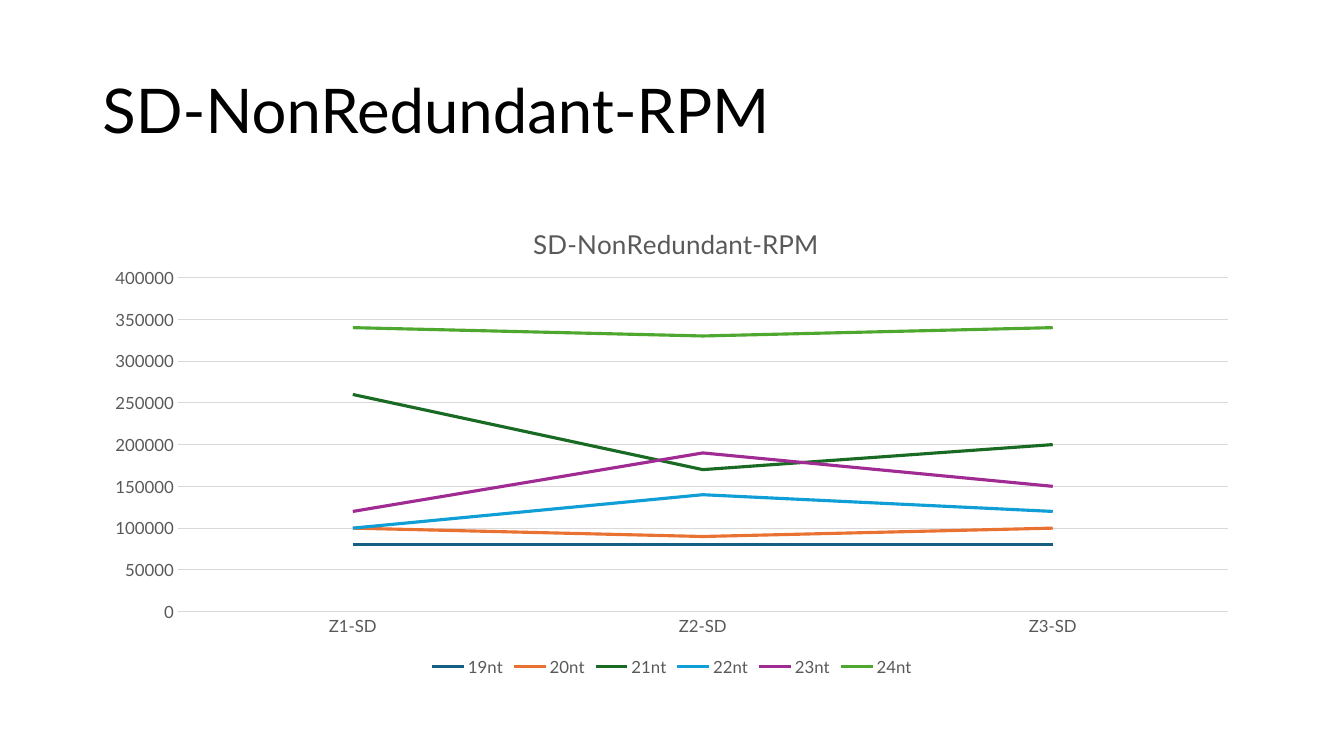
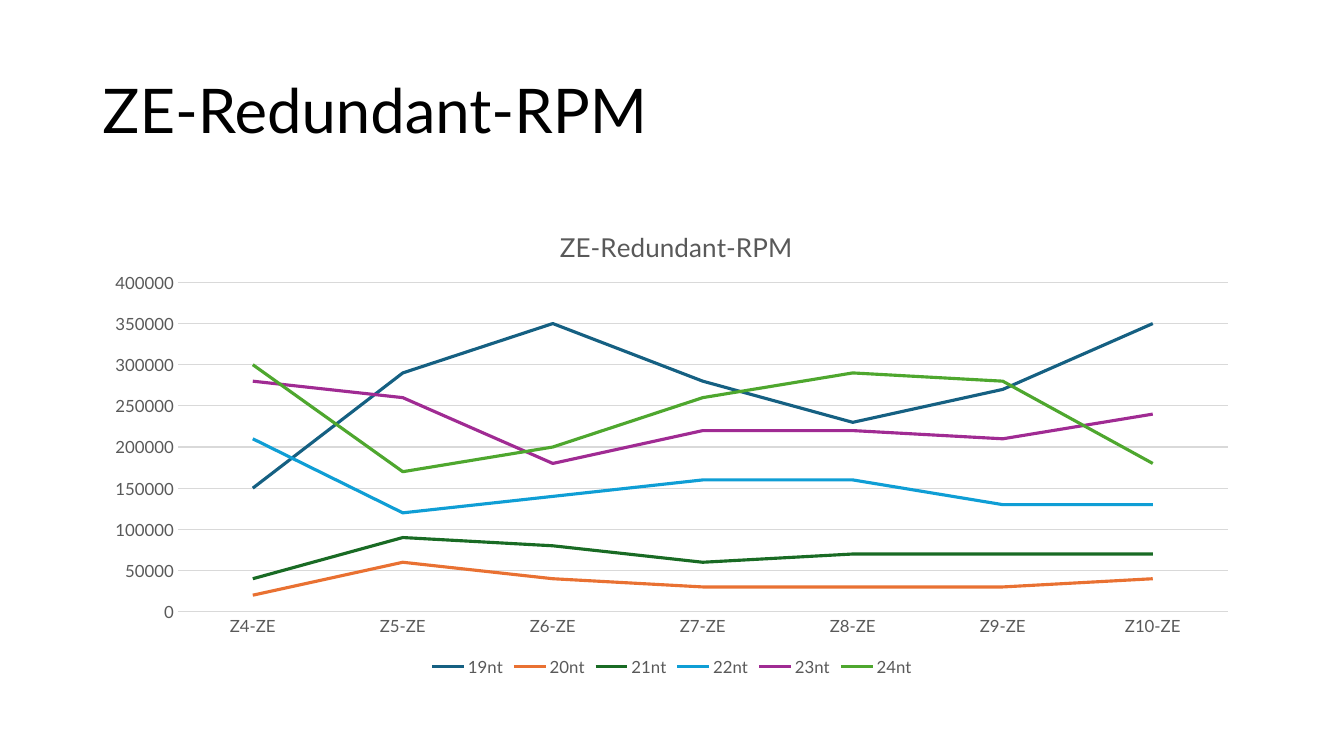
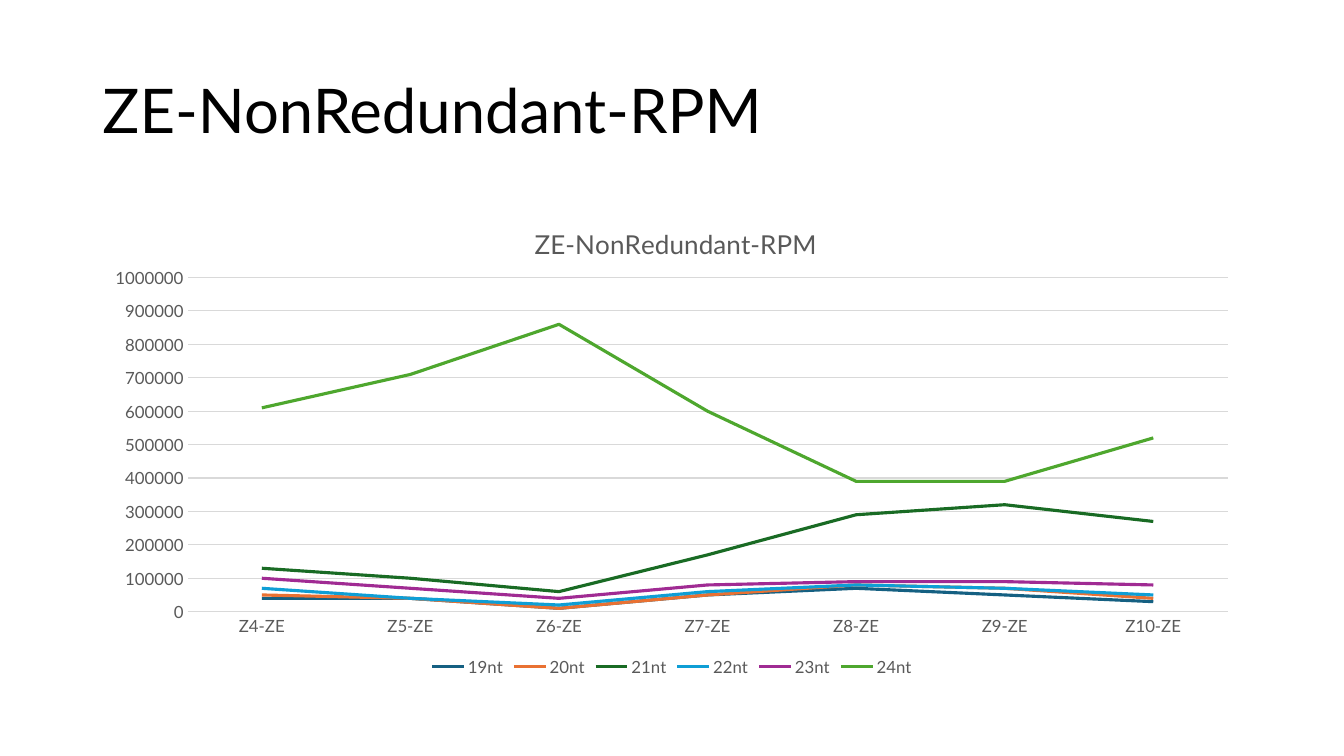
import dataclasses

import pptx
import pptx.chart.data
import pptx.dml.color
import pptx.enum.chart
import pptx.enum.text
import pptx.oxml
import pptx.oxml.ns
import pptx.util

Pt = pptx.util.Pt
FONT = "Lato"
BLACK, GREY, RULE = "000000", "595959", "D9D9D9"
SIZE_COLORS = {
    "19nt": "156082",
    "20nt": "E97132",
    "21nt": "196B24",
    "22nt": "0F9ED5",
    "23nt": "A02B93",
    "24nt": "4EA72E",
}
HEADING_BOX = (66, 28.75, 828, 104.38)
CHART_BOX = (66, 143.75, 828, 342.62)
PLOT_RIGHT, PLOT_BOTTOM = 811, 293.25
SD_SAMPLES = [f"Z{n}-SD" for n in range(1, 4)]
ZE_SAMPLES = [f"Z{n}-ZE" for n in range(4, 11)]


@dataclasses.dataclass
class Profile:
    heading: str
    samples: list
    thousands: list
    axis_max: int
    axis_step: int
    caption_at: tuple
    plot_at: tuple


PROFILES = [
    Profile(
        "SD-NonRedundant-RPM", SD_SAMPLES,
        [[80, 80, 80], [100, 90, 100], [260, 170, 200],
         [100, 140, 120], [120, 190, 150], [340, 330, 340]],
        400000, 50000, (311.5, 14), (61, 54.5)),
    Profile(
        "ZE-Redundant-RPM", ZE_SAMPLES,
        [[150, 290, 350, 280, 230, 270, 350],
         [20, 60, 40, 30, 30, 30, 40],
         [40, 90, 80, 60, 70, 70, 70],
         [210, 120, 140, 160, 160, 130, 130],
         [280, 260, 180, 220, 220, 210, 240],
         [300, 170, 200, 260, 290, 280, 180]],
        400000, 50000, (330.5, 16), (61, 58)),
    Profile(
        "ZE-NonRedundant-RPM", ZE_SAMPLES,
        [[40, 40, 10, 50, 70, 50, 30],
         [50, 40, 10, 50, 80, 70, 40],
         [130, 100, 60, 170, 290, 320, 270],
         [70, 40, 20, 60, 80, 70, 50],
         [100, 70, 40, 80, 90, 90, 80],
         [610, 710, 860, 600, 390, 390, 520]],
        1000000, 100000, (312.5, 14), (68, 54.5)),
]


def color(hex_code):
    return pptx.dml.color.RGBColor.from_string(hex_code)


def style_font(font, size, hex_code):
    font.name = FONT
    font.size = Pt(size)
    font.bold = False
    font.color.rgb = color(hex_code)


def style_line(line, width, hex_code):
    line.width = Pt(width)
    line.color.rgb = color(hex_code)


def set_layout(parent, index, fractions, inner=False):
    for old in parent.findall(pptx.oxml.ns.qn("c:layout")):
        parent.remove(old)
    target = '<c:layoutTarget val="inner"/>' if inner else ""
    modes = "".join(f'<c:{axis}Mode val="edge"/>' for axis in "xy")
    places = "".join(f'<c:{key} val="{value:.4f}"/>' for key, value in fractions.items())
    parent.insert(index, pptx.oxml.parse_xml(
        f'<c:layout {pptx.oxml.ns.nsdecls("c")}><c:manualLayout>'
        f"{target}{modes}{places}</c:manualLayout></c:layout>"))


def add_heading(slide, box, text):
    heading = slide.shapes.title
    heading.left, heading.top, heading.width, heading.height = map(Pt, box)
    frame = heading.text_frame
    frame.word_wrap = True
    frame.auto_size = pptx.enum.text.MSO_AUTO_SIZE.NONE
    frame.vertical_anchor = pptx.enum.text.MSO_ANCHOR.MIDDLE
    line = frame.paragraphs[0]
    line.alignment = pptx.enum.text.PP_ALIGN.LEFT
    line.line_spacing = 0.9
    run = line.add_run()
    run.text = text
    style_font(run.font, 44, BLACK)


def style_axes(chart, profile):
    for axis in (chart.category_axis, chart.value_axis):
        axis.major_tick_mark = pptx.enum.chart.XL_TICK_MARK.NONE
        axis.minor_tick_mark = pptx.enum.chart.XL_TICK_MARK.NONE
        style_font(axis.tick_labels.font, 12, GREY)
    style_line(chart.category_axis.format.line, 0.75, RULE)
    rpm_axis = chart.value_axis
    rpm_axis.minimum_scale = 0
    rpm_axis.maximum_scale = profile.axis_max
    rpm_axis.major_unit = profile.axis_step
    rpm_axis.format.line.fill.background()
    rpm_axis.has_major_gridlines = True
    style_line(rpm_axis.major_gridlines.format.line, 0.75, RULE)


def add_caption(chart, box, profile):
    chart.has_title = True
    run = chart.chart_title.text_frame.paragraphs[0].add_run()
    run.text = profile.heading
    style_font(run.font, 18.6, GREY)
    left, top = profile.caption_at
    set_layout(chart.chart_title.element, 1, {"x": left / box[2], "y": top / box[3]})


def add_profile_chart(slide, box, profile):
    data = pptx.chart.data.CategoryChartData(number_format="General")
    data.categories = profile.samples
    for size, thousands in zip(SIZE_COLORS, profile.thousands):
        data.add_series(size, [value * 1000 for value in thousands])
    chart = slide.shapes.add_chart(
        pptx.enum.chart.XL_CHART_TYPE.LINE, *map(Pt, box), data).chart
    style_font(chart.font, 10, BLACK)
    chart.plots[0].vary_by_categories = False
    for series in chart.plots[0].series:
        series.smooth = False
        style_line(series.format.line, 2.25, SIZE_COLORS[series.name])
    style_axes(chart, profile)
    add_caption(chart, box, profile)
    chart.has_legend = True
    chart.legend.position = pptx.enum.chart.XL_LEGEND_POSITION.BOTTOM
    chart.legend.include_in_layout = False
    style_font(chart.legend.font, 12, GREY)
    left, top = profile.plot_at
    set_layout(chart.element.xpath("c:chart/c:plotArea")[0], 0, {
        "x": left / box[2],
        "y": top / box[3],
        "w": (PLOT_RIGHT - left) / box[2],
        "h": (PLOT_BOTTOM - top) / box[3],
    }, inner=True)


def add_profile_slide(deck, profile):
    slide = deck.slides.add_slide(deck.slide_layouts.get_by_name("Title Only"))
    add_heading(slide, HEADING_BOX, profile.heading)
    add_profile_chart(slide, CHART_BOX, profile)


def main():
    deck = pptx.Presentation()
    deck.slide_width, deck.slide_height = Pt(960), Pt(540)
    for profile in PROFILES:
        add_profile_slide(deck, profile)
    deck.save("out.pptx")


if __name__ == "__main__":
    main()
